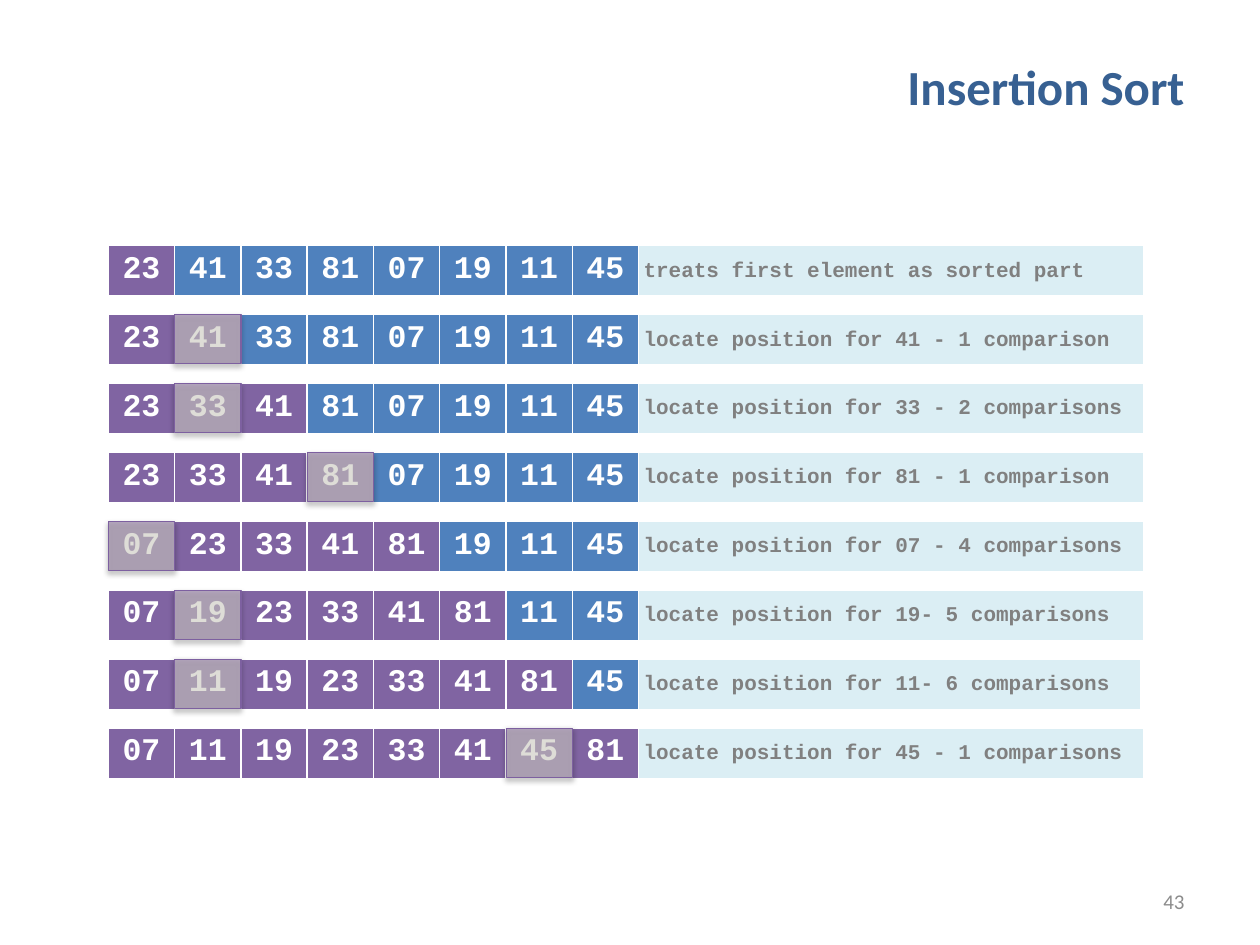
from dataclasses import dataclass

from lxml import etree
from pptx import Presentation
from pptx import util as u
from pptx.dml.color import RGBColor
from pptx.enum import shapes, text
from pptx.oxml import parse_xml
from pptx.oxml.ns import nsdecls, qn

VALUES = ["23", "41", "33", "81", "07", "19", "11", "45"]
LEFT, TOP = 0.86, 1.95
CELL_WIDTH = 4.21 / len(VALUES)
ROW_HEIGHT = 0.41
ROW_PITCH = 3.83 / 7
MARKER_HEIGHT = 0.39

SORTED, UNSORTED, NOTE_FILL = "8064A2", "4F81BD", "DBEEF4"
WHITE, GREY = "FFFFFF", "808080"
BORDERS = {"a:lnL": 1, "a:lnR": 1, "a:lnT": 1, "a:lnB": 3}


@dataclass
class Step:
    note: str
    note_width: float = 4.01


STEPS = [
    Step("treats first element as sorted part"),
    Step("locate position for 41 - 1 comparison"),
    Step("locate position for 33 - 2 comparisons"),
    Step("locate position for 81 - 1 comparison"),
    Step("locate position for 07 - 4 comparisons"),
    Step("locate position for 19- 5 comparisons"),
    Step("locate position for 11- 6 comparisons", 3.99),
    Step("locate position for 45 - 1 comparisons"),
]


def color(value: str) -> RGBColor:
    return RGBColor.from_string(value)


def write(frame, words: str, size: float, ink: str, align, font="Courier New", bold=True) -> None:
    frame.text = words
    para = frame.paragraphs[0]
    para.alignment = align
    span = para.runs[0]
    span.font.name = font
    span.font.size = u.Pt(size)
    span.font.bold = bold
    span.font.color.rgb = color(ink)


def format_cell(cell, fill: str) -> None:
    cell.margin_left = cell.margin_right = u.Inches(0.04)
    cell.margin_top = cell.margin_bottom = u.Inches(0.05)
    properties = cell._tc.get_or_add_tcPr()
    for tag, width in BORDERS.items():
        properties.append(parse_xml(
            f'<{tag} {nsdecls("a")} w="{u.Pt(width)}"><a:solidFill>'
            f'<a:srgbClr val="{WHITE}"/></a:solidFill></{tag}>'))
    cell.fill.solid()
    cell.fill.fore_color.rgb = color(fill)


def draw_step(page, top: float, step: Step, numbers: list[str], sorted_count: int) -> None:
    widths = [CELL_WIDTH] * len(numbers) + [step.note_width]
    table = page.shapes.add_table(1, len(widths), u.Inches(LEFT), u.Inches(top),
                                  u.Inches(sum(widths)), u.Inches(ROW_HEIGHT)).table
    table.first_row = table.horz_banding = False
    for column, width in zip(table.columns, widths):
        column.width = u.Inches(width)
    for index, number in enumerate(numbers):
        cell = table.cell(0, index)
        format_cell(cell, SORTED if index < sorted_count else UNSORTED)
        write(cell.text_frame, number, 18, WHITE, text.PP_ALIGN.CENTER)
    note = table.cell(0, len(numbers))
    format_cell(note, NOTE_FILL)
    note.vertical_anchor = text.MSO_ANCHOR.MIDDLE
    write(note.text_frame, step.note, 12, GREY, text.PP_ALIGN.LEFT)


def draw_marker(page, top: float, column: int) -> None:
    """Cover the newly inserted number with a translucent, shadowed box."""
    box = page.shapes.add_shape(
        shapes.MSO_SHAPE.RECTANGLE, u.Inches(LEFT + column * CELL_WIDTH), u.Inches(top),
        u.Inches(CELL_WIDTH), u.Inches(MARKER_HEIGHT))
    box.fill.solid()
    box.fill.fore_color.rgb = color("EEECE1")
    fill_color = box._element.spPr.find(qn("a:solidFill"))[0]
    etree.SubElement(fill_color, qn("a:alpha"), val="50000")
    box.line.color.rgb = color("7D60A0")
    box.line.width = u.Pt(0.75)
    box._element.spPr.append(parse_xml(
        f'<a:effectLst {nsdecls("a")}><a:outerShdw blurRad="{u.Pt(3.1)}" dist="{u.Pt(1.6)}" '
        'dir="5400000" rotWithShape="0"><a:srgbClr val="000000"><a:alpha val="38000"/>'
        '</a:srgbClr></a:outerShdw></a:effectLst>'))


def main() -> None:
    deck = Presentation()
    deck.slide_width, deck.slide_height = u.Inches(10), u.Inches(7.5)
    page = deck.slides.add_slide(deck.slide_layouts[5])

    title = page.shapes.title
    title.left, title.top = u.Inches(1.61), u.Inches(0.38)
    title.width, title.height = u.Inches(7.89), u.Inches(0.61)
    title.text_frame.vertical_anchor = text.MSO_ANCHOR.MIDDLE
    write(title.text_frame, "Insertion Sort", 28, "376092", text.PP_ALIGN.RIGHT, "Calibri")

    number_box = page.shapes.add_textbox(u.Inches(7.17), u.Inches(6.95),
                                         u.Inches(2.33), u.Inches(0.4))
    number_box.text_frame.word_wrap = True
    number_box.text_frame.vertical_anchor = text.MSO_ANCHOR.MIDDLE
    write(number_box.text_frame, "43", 12, "8C8C8C", text.PP_ALIGN.RIGHT, "Calibri", False)

    markers = []
    for index, step in enumerate(STEPS):
        top = TOP + index * ROW_PITCH
        sorted_part = sorted(VALUES[:index + 1])
        draw_step(page, top, step, sorted_part + VALUES[index + 1:], len(sorted_part))
        if index:
            markers.append((top, sorted_part.index(VALUES[index])))
    for top, column in markers:
        draw_marker(page, top, column)

    deck.save("out.pptx")


if __name__ == "__main__":
    main()
